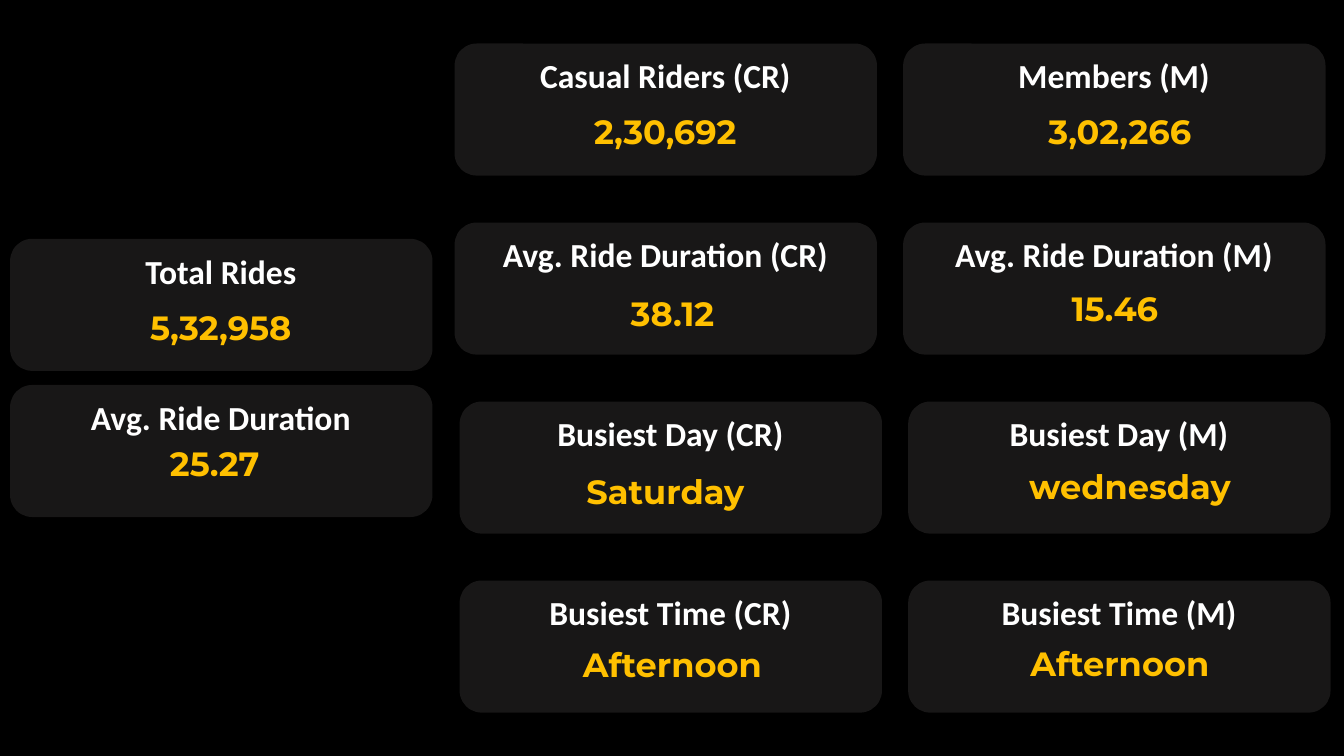
"""Build a dark dashboard slide of ride statistics."""
from pptx import Presentation
from pptx.dml.color import RGBColor
from pptx.enum import shapes, text
from pptx.util import Pt

BLACK = RGBColor(0x00, 0x00, 0x00)
CARD_GREY = RGBColor(0x18, 0x17, 0x17)
WHITE = RGBColor(0xFF, 0xFF, 0xFF)
GOLD = RGBColor(0xFF, 0xC0, 0x00)

CARD_WIDTH, CARD_HEIGHT = 301.7, 94.3
GRID_LEFT, GRID_TOP = 324.7, 31.1
COLUMN_STEP, ROW_STEP = 320.4, 127.87
LOWER_ROWS_SHIFT = 3.6
TOTALS_LEFT, TOTALS_TOP, TOTALS_STEP = 7.2, 170.6, 104.4

TOTALS = [
    ("Total Rides", "5,32,958", 36, 215.3),
    ("Avg. Ride Duration", "25.27", 31.7, 312.5),
]
RIDER_ROWS = [
    [("Casual Riders (CR)", "2,30,692", 353.5, 74.9),
     ("Members (M)", "3,02,266", 678.2, 74.9)],
    [("Avg. Ride Duration (CR)", "38.12", 358.6, 205.2),
     ("Avg. Ride Duration (M)", "15.46", 674.6, 201.6)],
    [("Busiest Day (CR)", "Saturday", 353.5, 332.6),
     ("Busiest Day (M)", "wednesday", 685.4, 329)],
    [("Busiest Time (CR)", "Afternoon", 358.6, 455.8),
     ("Busiest Time (M)", "Afternoon", 678.2, 455)],
]


def add_text(parent, wording, left, top, width, height, font_name, color):
    """Add a bold centred line of text and return its frame."""
    box = parent.shapes.add_textbox(Pt(left), Pt(top), Pt(width), Pt(height))
    frame = box.text_frame
    frame.word_wrap = True
    frame.auto_size = text.MSO_AUTO_SIZE.SHAPE_TO_FIT_TEXT
    frame.text = wording
    paragraph = frame.paragraphs[0]
    paragraph.alignment = text.PP_ALIGN.CENTER
    font = paragraph.runs[0].font
    font.name, font.size, font.bold = font_name, Pt(24), True
    font.color.rgb = color
    return frame


def add_value(slide, wording, left, top):
    """Add a gold figure without insets."""
    frame = add_text(slide, wording, left, top, 243.4, 31, "Montserrat", GOLD)
    frame.margin_left = frame.margin_right = 0
    frame.margin_top = frame.margin_bottom = 0
    frame.paragraphs[0].line_spacing = 1.14


def add_card(slide, left, top, statistic):
    """Add a rounded card with its label and value."""
    label, value, value_left, value_top = statistic
    group = slide.shapes.add_group_shape()
    card = group.shapes.add_shape(
        shapes.MSO_SHAPE.ROUNDED_RECTANGLE,
        Pt(left), Pt(top), Pt(CARD_WIDTH), Pt(CARD_HEIGHT))
    card.shadow.inherit = False
    card.fill.solid()
    card.fill.fore_color.rgb = CARD_GREY
    card.line.fill.background()
    add_text(group, label, left + 12.3, top + 4.8, 276.5, 36, "Calibri", WHITE)
    add_value(slide, value, value_left, value_top)


def main():
    """Build and save the slide."""
    presentation = Presentation()
    presentation.slide_width, presentation.slide_height = Pt(960), Pt(540)
    slide = presentation.slides.add_slide(presentation.slide_layouts[6])
    slide.background.fill.solid()
    slide.background.fill.fore_color.rgb = BLACK

    for index, statistic in enumerate(TOTALS):
        add_card(slide, TOTALS_LEFT, TOTALS_TOP + index * TOTALS_STEP, statistic)

    for row, statistics in enumerate(RIDER_ROWS):
        shift = LOWER_ROWS_SHIFT if row >= 2 else 0
        for column, statistic in enumerate(statistics):
            add_card(slide, GRID_LEFT + shift + column * COLUMN_STEP,
                     GRID_TOP + row * ROW_STEP, statistic)

    presentation.save("out.pptx")


if __name__ == "__main__":
    main()
